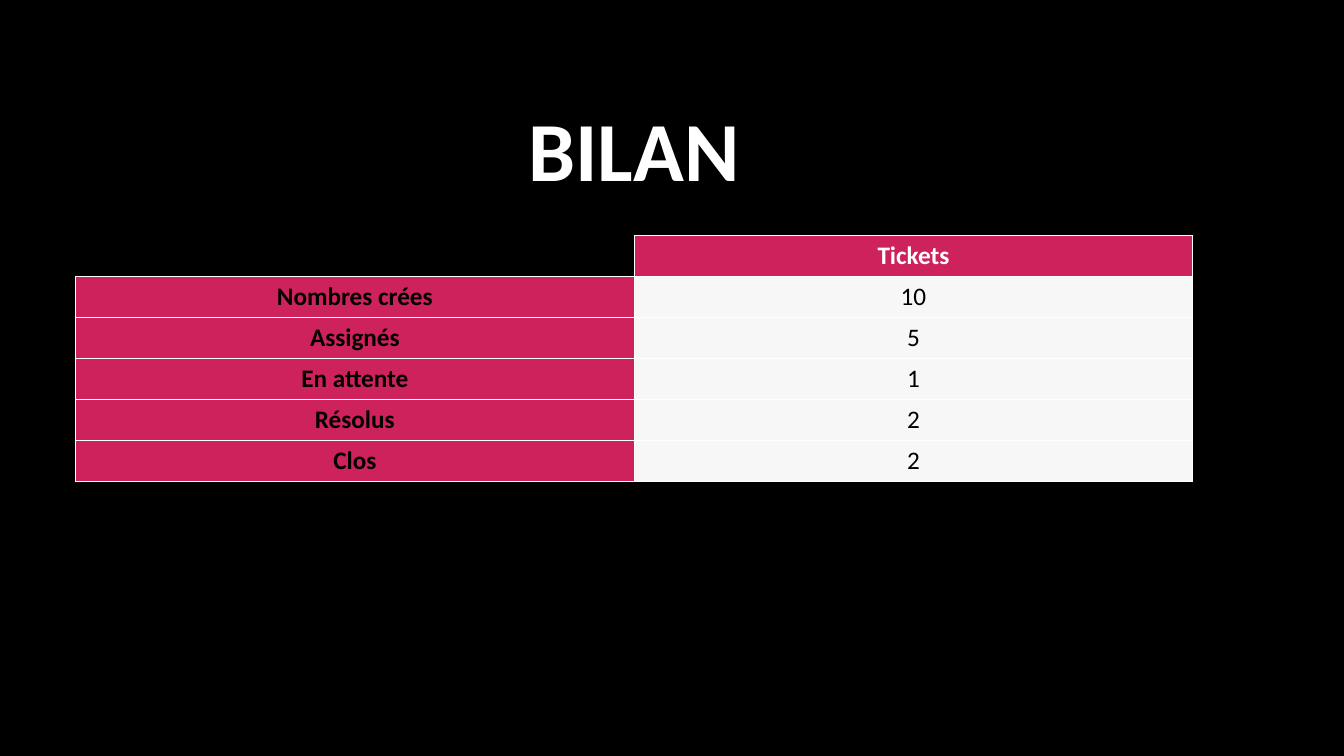
from dataclasses import dataclass
from typing import Any, Optional

from lxml import etree
from pptx import Presentation
from pptx import util as u
from pptx.dml.color import RGBColor
from pptx.enum import text
from pptx.oxml import ns


@dataclass(frozen=True)
class Theme:
    font: str = "Calibri"
    background: str = "000000"
    light: str = "FFFFFF"
    dark: str = "000000"
    accent: str = "CE225C"
    value_fill: str = "F7F7F7"
    title_size: float = 60
    cell_size: float = 18
    border_width: float = 1


@dataclass(frozen=True)
class TicketCount:
    label: str
    count: int


@dataclass(frozen=True)
class CellStyle:
    fill: Optional[str]
    color: str
    bold: bool
    borders: str = "LRTB"


THEME = Theme()
EMPTY = CellStyle(None, THEME.light, True, "RB")
HEADER = CellStyle(THEME.accent, THEME.light, True)
LABEL = CellStyle(THEME.accent, THEME.dark, True)
VALUE = CellStyle(THEME.value_fill, THEME.dark, False)

TICKET_COUNTS = [
    TicketCount("Nombres crées", 10),
    TicketCount("Assignés", 5),
    TicketCount("En attente", 1),
    TicketCount("Résolus", 2),
    TicketCount("Clos", 2),
]

LEFT, WIDTH = 54, 798
TITLE_TOP, TITLE_HEIGHT = 48.25, 114.5
TABLE_TOP, ROW_HEIGHT = 168.5, 29.2


def write_text(frame: Any, content: str, size: float, color: str, bold: bool) -> None:
    paragraph = frame.paragraphs[0]
    paragraph.alignment = text.PP_ALIGN.CENTER
    run = paragraph.add_run()
    run.text = content
    font_format = {"name": THEME.font, "size": u.Pt(size), "bold": bold}
    for attribute, value in font_format.items():
        setattr(run.font, attribute, value)
    run.font.color.rgb = RGBColor.from_string(color)


def set_borders(cell: Any, sides: str) -> None:
    """Draw the named sides (L, R, T, B) and clear the others."""
    properties = cell._tc.get_or_add_tcPr()
    for index, side in enumerate("LRTB"):
        line = etree.Element(ns.qn(f"a:ln{side}"), w=str(u.Pt(THEME.border_width)))
        if side in sides:
            fill = etree.SubElement(line, ns.qn("a:solidFill"))
            etree.SubElement(fill, ns.qn("a:srgbClr"), val=THEME.light)
        else:
            etree.SubElement(line, ns.qn("a:noFill"))
        properties.insert(index, line)


def fill_cell(cell: Any, content: str, style: CellStyle) -> None:
    cell.vertical_anchor = text.MSO_ANCHOR.MIDDLE
    if style.fill:
        cell.fill.solid()
        cell.fill.fore_color.rgb = RGBColor.from_string(style.fill)
    else:
        cell.fill.background()
    set_borders(cell, style.borders)
    if content:
        write_text(cell.text_frame, content, THEME.cell_size, style.color, style.bold)


def add_title(slide: Any, content: str) -> None:
    box = slide.shapes.add_textbox(
        u.Pt(LEFT), u.Pt(TITLE_TOP), u.Pt(WIDTH), u.Pt(TITLE_HEIGHT)
    )
    frame_format = {"word_wrap": True, "vertical_anchor": text.MSO_ANCHOR.MIDDLE}
    for attribute, value in frame_format.items():
        setattr(box.text_frame, attribute, value)
    write_text(box.text_frame, content, THEME.title_size, THEME.light, True)


def add_ticket_table(slide: Any, counts: list[TicketCount]) -> None:
    rows = [(("", EMPTY), ("Tickets", HEADER))]
    rows += [((item.label, LABEL), (str(item.count), VALUE)) for item in counts]
    table = slide.shapes.add_table(
        len(rows), 2, u.Pt(LEFT), u.Pt(TABLE_TOP), u.Pt(WIDTH),
        u.Pt(ROW_HEIGHT * len(rows)),
    ).table
    table.first_row = table.horz_banding = False
    for row_index, row in enumerate(rows):
        table.rows[row_index].height = u.Pt(ROW_HEIGHT)
        for column_index, (content, style) in enumerate(row):
            fill_cell(table.cell(row_index, column_index), content, style)


def main() -> None:
    presentation = Presentation()
    presentation.slide_width, presentation.slide_height = u.Pt(960), u.Pt(540)
    slide = presentation.slides.add_slide(presentation.slide_layouts[6])
    slide.background.fill.solid()
    slide.background.fill.fore_color.rgb = RGBColor.from_string(THEME.background)
    add_title(slide, "BILAN")
    add_ticket_table(slide, TICKET_COUNTS)
    presentation.save("out.pptx")


if __name__ == "__main__":
    main()
